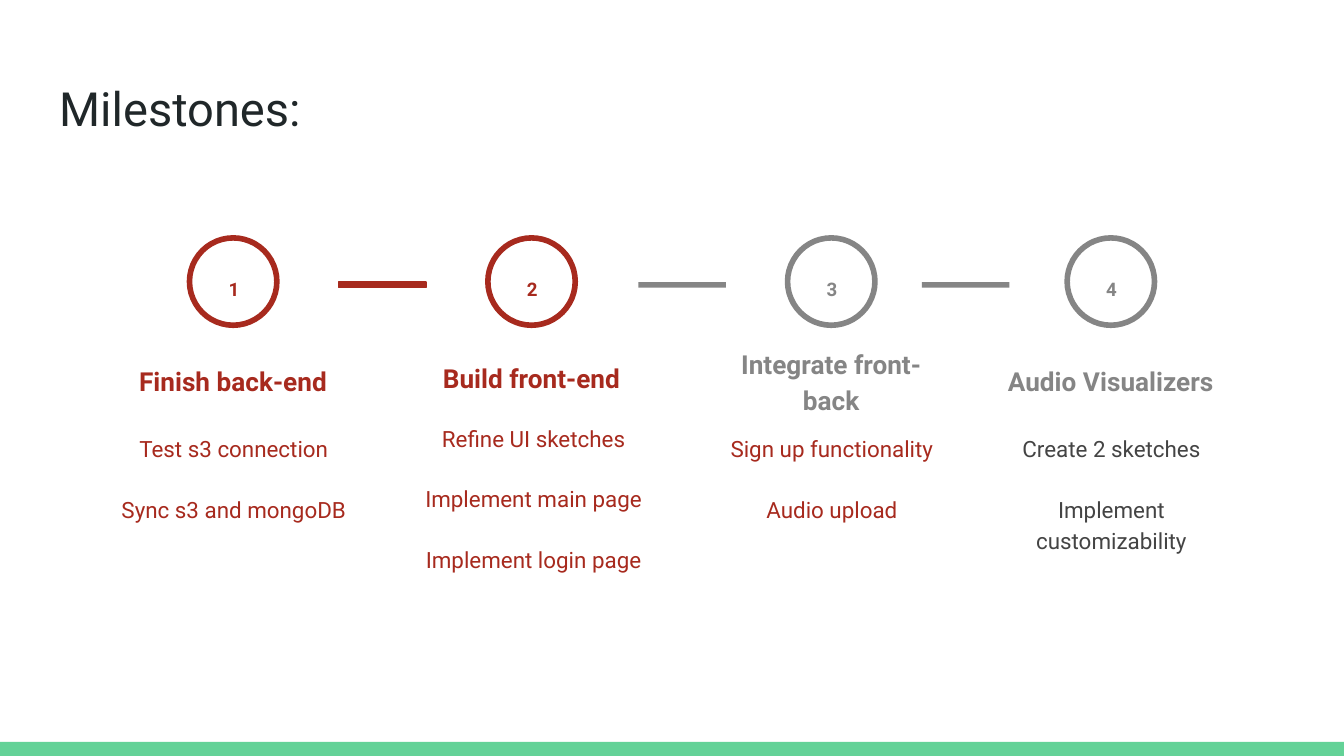
from pptx import Presentation
from pptx.dml.color import RGBColor
from pptx.enum.shapes import MSO_SHAPE
from pptx.enum.text import MSO_ANCHOR, MSO_AUTO_SIZE, PP_ALIGN
from pptx.util import Inches, Pt

OVAL, RECT, ROUND_RECT = MSO_SHAPE.OVAL, MSO_SHAPE.RECTANGLE, MSO_SHAPE.ROUNDED_RECTANGLE
TOP, BOTTOM = MSO_ANCHOR.TOP, MSO_ANCHOR.BOTTOM
LEFT, CENTER = PP_ALIGN.LEFT, PP_ALIGN.CENTER
NO_AUTOFIT = MSO_AUTO_SIZE.NONE

RED = RGBColor(0xA7, 0x2A, 0x1E)
GRAY = RGBColor(0x85, 0x85, 0x85)
DARK = RGBColor(0x44, 0x44, 0x44)
INK = RGBColor(0x20, 0x27, 0x29)
GREEN = RGBColor(0x63, 0xD2, 0x97)

FONT = "Roboto"
INSET = Inches(0.1)


def fill_text(sp, lines, size, color, bold=False, align=CENTER, anchor=TOP, spacing=1.15):
    tf = sp.text_frame
    tf.word_wrap = True
    tf.auto_size = NO_AUTOFIT
    tf.vertical_anchor = anchor
    tf.margin_left = tf.margin_right = tf.margin_top = tf.margin_bottom = INSET
    tf.text = "\n".join(lines)
    for i, p in enumerate(tf.paragraphs):
        p.alignment = align
        p.line_spacing = spacing
        p.space_before = Pt(16 if i else 0)
        font = p.runs[0].font
        font.name, font.size, font.bold = FONT, Pt(size), bold
        font.color.rgb = color


def add_bar(kind, x, y, w, h, color):
    sp = s.shapes.add_shape(kind, Inches(x), Inches(y), Inches(w), Inches(h))
    sp.shadow.inherit = False
    sp.fill.solid()
    sp.fill.fore_color.rgb = color
    sp.line.fill.background()
    return sp


prs = Presentation()
prs.slide_width = Inches(10)
prs.slide_height = prs.slide_width * 9 // 16
s = prs.slides.add_slide(prs.slide_layouts[5])
add_bar(RECT, 0, 5.52, 10, 0.11, GREEN)

title = s.shapes.title
title.left, title.top = Inches(0.34), Inches(0.49)
title.width, title.height = Inches(9.32), Inches(0.63)
fill_text(title, ["Milestones:"], 25.2, INK, align=LEFT, spacing=1)

# circle left, accent, heading, heading top, tasks, tasks top, tasks left inset, task colour
milestones = [
    (1.41, RED, "Finish back-end", 2.56,
     ["Test s3 connection", "Sync s3 and mongoDB"], 3.11, 0.1, RED),
    (3.63, RED, "Build front-end", 2.54,
     ["Refine UI sketches", "Implement main page", "Implement login page"], 3.03, 0.12, RED),
    (5.86, GRAY, "Integrate front-back", 2.7,
     ["Sign up functionality", "Audio upload"], 3.11, 0.1, RED),
    (7.94, GRAY, "Audio Visualizers", 2.56,
     ["Create 2 sketches", "Implement customizability"], 3.11, 0.1, DARK),
]
for number, milestone in enumerate(milestones, 1):
    x, accent, heading, heading_y, tasks, tasks_y, tasks_inset, task_color = milestone
    shapes = s.shapes.add_group_shape().shapes

    circle = shapes.add_shape(OVAL, Inches(x), Inches(1.77), Inches(0.65), Inches(0.65))
    circle.shadow.inherit = False
    circle.fill.background()
    circle.line.color.rgb = accent
    circle.line.width = Pt(3)

    sp = shapes.add_textbox(Inches(x - 0.61), Inches(heading_y), Inches(1.87), Inches(0.49))
    fill_text(sp, [heading], 14, accent, bold=True, anchor=BOTTOM)
    sp = shapes.add_textbox(Inches(x - 0.71), Inches(tasks_y), Inches(2.08), Inches(0.81))
    fill_text(sp, tasks, 12, task_color)
    sp.text_frame.margin_left = Inches(tasks_inset)
    sp = shapes.add_textbox(Inches(x + 0.09), Inches(1.94), Inches(0.48), Inches(0.35))
    fill_text(sp, [str(number)], 10, accent, bold=True)

for x, color in [(2.52, RED), (4.75, GRAY), (6.86, GRAY)]:
    link = add_bar(ROUND_RECT, x, 2.1, 0.65, 0.04, color)
    link.adjustments[0] = 0
    if color == RED:
        link.line.color.rgb = RED
        link.line.width = Pt(0.75)

prs.save("out.pptx")
